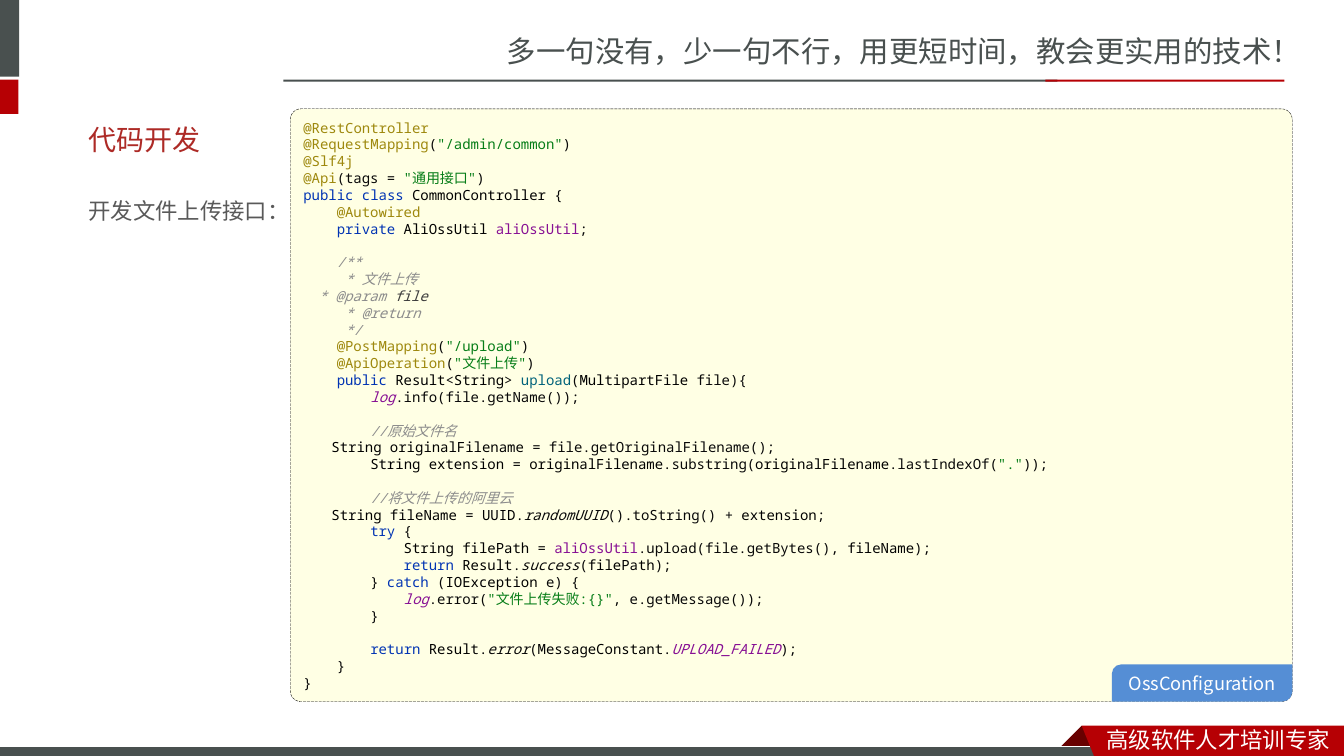
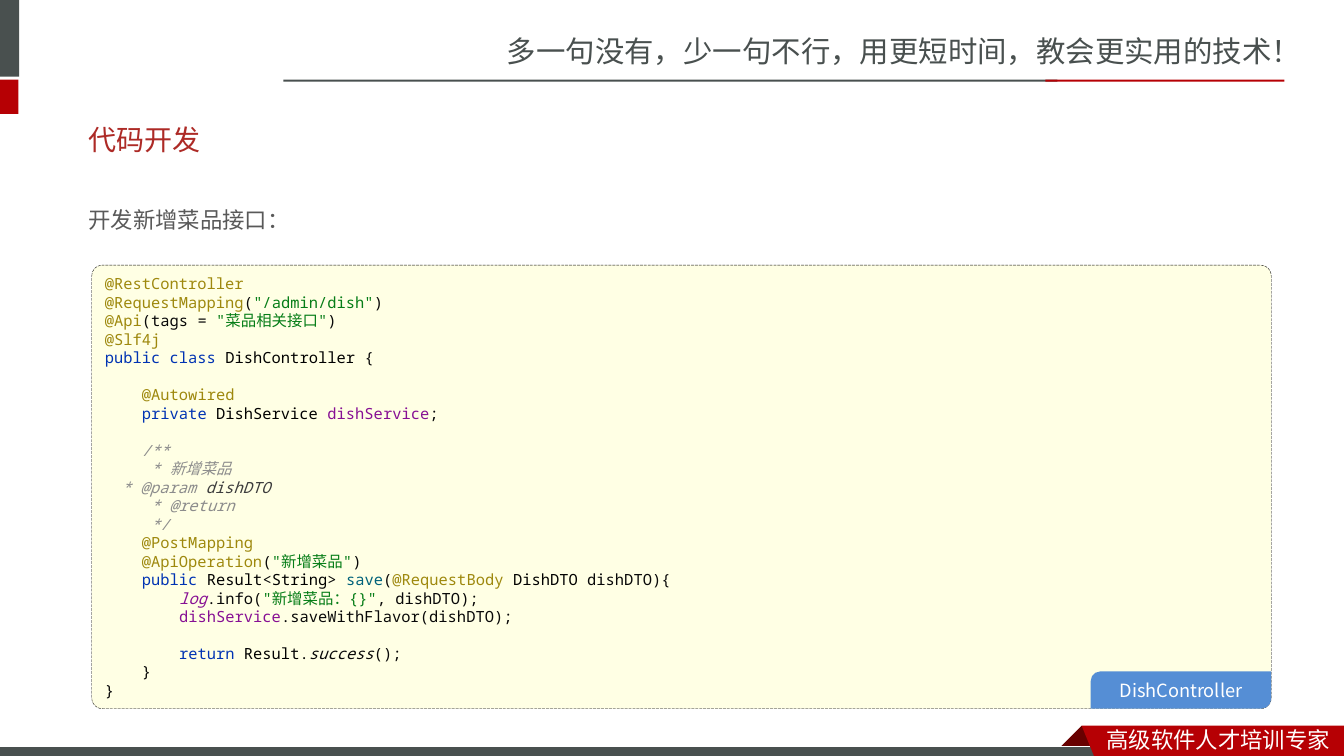
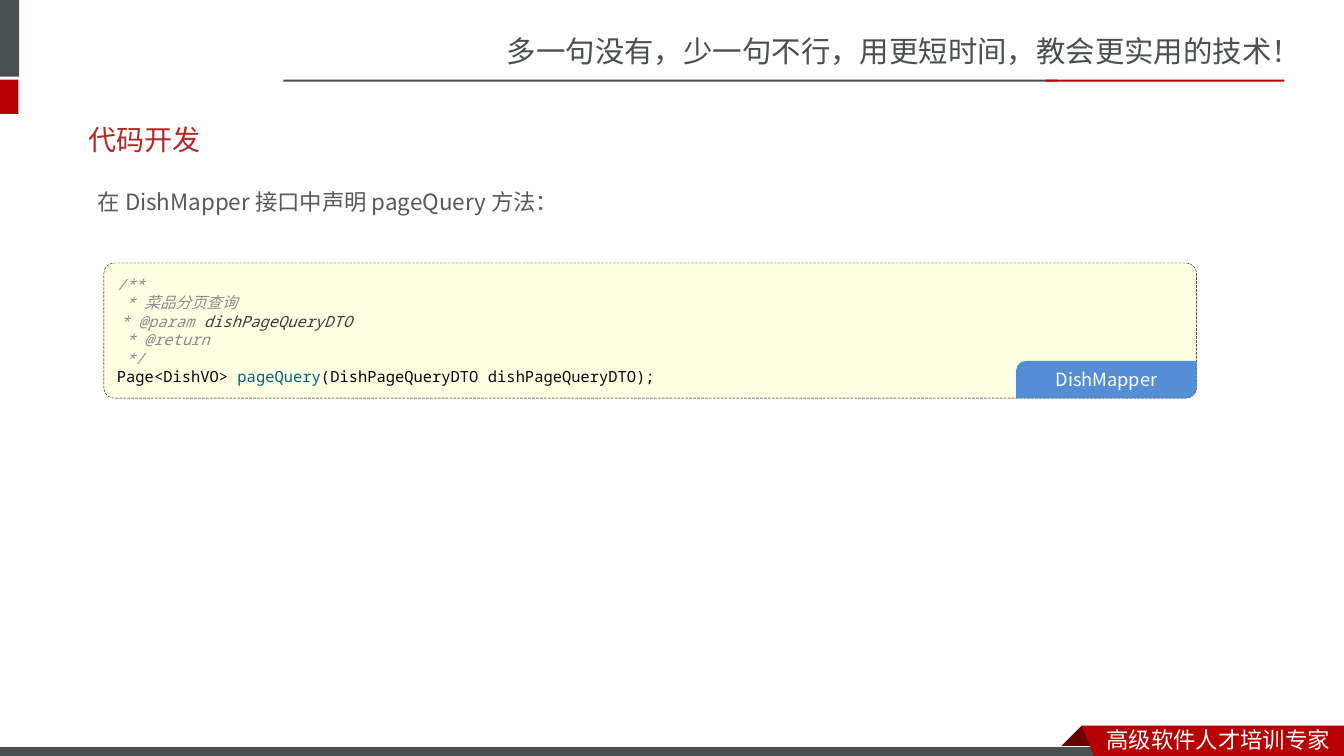
from copy import deepcopy

from lxml import etree
from pptx import Presentation
from pptx.dml.color import RGBColor
from pptx.enum.dml import MSO_LINE
from pptx.enum.shapes import MSO_SHAPE
from pptx.enum.text import MSO_ANCHOR, MSO_AUTO_SIZE, PP_ALIGN
from pptx.oxml.ns import qn
from pptx.util import Inches, Pt

RECT = MSO_SHAPE.RECTANGLE
ROUNDED = MSO_SHAPE.ROUNDED_RECTANGLE
DIAGONAL = MSO_SHAPE.ROUND_2_DIAG_RECTANGLE
LONG_DASH = MSO_LINE.LONG_DASH
MIDDLE = MSO_ANCHOR.MIDDLE
NO_FIT = MSO_AUTO_SIZE.NONE
LEFT, CENTER = PP_ALIGN.LEFT, PP_ALIGN.CENTER

SLATE = RGBColor(0x49, 0x50, 0x4F)
RED = RGBColor(0xB6, 0x00, 0x04)
DARK_RED = RGBColor(0x68, 0x00, 0x00)
TITLE_RED = RGBColor(0xAD, 0x2A, 0x26)
GRAY = RGBColor(0x59, 0x59, 0x59)
CREAM = RGBColor(0xFF, 0xFF, 0xE4)
BLUE = RGBColor(0x55, 0x8E, 0xD5)
WHITE = RGBColor(0xFF, 0xFF, 0xFF)
BLACK = RGBColor(0x00, 0x00, 0x00)
INK = RGBColor(0x08, 0x08, 0x08)
OLIVE = RGBColor(0x9E, 0x88, 0x0D)
GREEN = RGBColor(0x06, 0x7D, 0x17)
NAVY = RGBColor(0x00, 0x33, 0xB3)
PURPLE = RGBColor(0x87, 0x10, 0x94)
COMMENT = RGBColor(0x8C, 0x8C, 0x8C)
PARAM = RGBColor(0x3D, 0x3D, 0x3D)
TEAL = RGBColor(0x00, 0x62, 0x7A)

SC, JP, MONO = "Noto Sans CJK SC", "Noto Sans CJK JP", "Noto Sans Mono"

# Code markup: § and a letter start a run; a capital letter selects the CJK font.
SYNTAX = {
    "a": (OLIVE, False),    # annotation
    "p": (INK, False),      # plain
    "s": (GREEN, False),    # string
    "k": (NAVY, False),     # keyword
    "t": (BLACK, False),    # type or variable
    "f": (PURPLE, False),   # field
    "m": (TEAL, False),     # method declaration
    "l": (PURPLE, True),    # static field
    "i": (INK, True),       # static call
    "c": (COMMENT, True),   # comment
    "d": (PARAM, True),     # documented parameter
}

UPLOAD_CLASS = """§a@RestController
@RequestMapping§p(§s"/admin/common"§p)
§a@Slf4j
@Api§p(tags = §s"§S通用接口§s"§p)
§kpublic class §tCommonController §p{
    §a@Autowired
    §kprivate §tAliOssUtil §faliOssUtil§p;
"""

UPLOAD_METHOD = """    §c/**
     * §C文件上传
     §c* @param §dfile
     §c* @return
     */
    §a@PostMapping§p(§s"/upload"§p)
    §a@ApiOperation§p(§s"§S文件上传§s"§p)
    §kpublic §tResult§p<§tString§p> §mupload§p(§tMultipartFile §pfile){
        §llog§p.info(file.getName());

        §c//§C原始文件名
         §tString originalFilename §p= file.getOriginalFilename();
        §tString extension §p= §toriginalFilename§p.substring(§toriginalFilename§p.lastIndexOf(§s"."§p));
"""

UPLOAD_STORE = """        §c//§C将文件上传的阿里云
         §tString fileName §p= §tUUID§p.§irandomUUID§p().toString() + §textension§p;
        §ktry §p{
            §tString filePath §p= §faliOssUtil§p.upload(file.getBytes(), §tfileName§p);
            §kreturn §tResult§p.§isuccess§p(§tfilePath§p);
        } §kcatch §p(§tIOException §pe) {
            §llog§p.error(§s"§S文件上传失败§s:{}"§p, e.getMessage());
        }

        §kreturn §tResult§p.§ierror§p(§tMessageConstant§p.§lUPLOAD_FAILED§p);
    }
}"""

DISH_CLASS = """§a@RestController
@RequestMapping§p(§s"/admin/dish"§p)
§a@Api§p(tags = §s"§S菜品相关接口§s"§p)
§a@Slf4j
§kpublic class §tDishController §p{

    §a@Autowired
    §kprivate §tDishService §fdishService§p;
"""

DISH_METHOD = """    §c/**
     * §C新增菜品
     §c* @param §ddishDTO
     §c* @return
     */
    §a@PostMapping
    @ApiOperation§p(§s"§S新增菜品§s"§p)
    §kpublic §tResult§p<§tString§p> §msave§p(§a@RequestBody §tDishDTO §pdishDTO){
        §llog§p.info(§s"§S新增菜品：§s{}"§p, dishDTO);
        §fdishService§p.saveWithFlavor(dishDTO);

        §kreturn §tResult§p.§isuccess§p();
    }
}"""

MAPPER_METHOD = """§c/**
 * §C菜品分页查询
 §c* @param §ddishPageQueryDTO
 §c* @return
 */
§tPage§p<§tDishVO§p> §mpageQuery§p(§tDishPageQueryDTO §pdishPageQueryDTO);"""


def set_font(font, size, color, face, east_asian=None, italic=None):
    font.size, font.name, font.italic = Pt(size), face, italic
    font.color.rgb = color
    ea = etree.SubElement(font._element, qn("a:ea"))
    ea.set("typeface", east_asian or face)


class Deck:
    """Slides whose lengths are percentages of the slide's width and height."""

    TAG_W, TAG_H = 13.43, 4.93
    CORNER = 1.4

    def __init__(self):
        self.prs = Presentation()
        self.prs.slide_width, self.prs.slide_height = Inches(13.33), Inches(7.5)
        self.layout = self.prs.slide_layouts[5]
        for ph in list(self.layout.placeholders):
            if ph.placeholder_format.idx:
                ph._element.getparent().remove(ph._element)
        self.s = None

    def point(self, x, y):
        return (int(self.prs.slide_width * x / 100),
                int(self.prs.slide_height * y / 100))

    def box(self, x, y, w, h):
        return self.point(x, y) + self.point(w, h)

    def paint(self, sp, fill):
        sp.shadow.inherit = False
        sp.fill.solid()
        sp.fill.fore_color.rgb = fill
        sp.line.fill.background()
        return sp

    def shape(self, kind, area, fill):
        return self.paint(self.s.shapes.add_shape(kind, *self.box(*area)), fill)

    def polygon(self, points, fill):
        first, *rest = [self.point(*xy) for xy in points]
        builder = self.s.shapes.build_freeform(*first)
        builder.add_line_segments(rest, close=True)
        self.paint(builder.convert_to_shape(), fill)

    def text(self, area, words, size, color, face, spacing=None):
        tf = self.s.shapes.add_textbox(*self.box(*area)).text_frame
        tf.word_wrap = True
        p = tf.paragraphs[0]
        p.text = words
        p.line_spacing = spacing
        set_font(p.font, size, color, face)

    def frame(self):
        """Draw the bands, slogan and footer, then move them to the layout."""
        self.text((36.98, 3.73, 63.02, 6.27),
                  "多一句没有，少一句不行，用更短时间，教会更实用的技术！", 21, SLATE, SC)
        self.shape(RECT, (0, 0, 1.42, 10.13), SLATE)
        self.shape(RECT, (0, 10.53, 1.38, 4.53), RED)
        self.shape(RECT, (21.08, 10.53, 57.6, 0.27), SLATE)
        self.shape(RECT, (77.78, 10.53, 17.78, 0.27), RED)
        self.polygon([(80.48, 96), (82.13, 98.93), (82.05, 99.07),
                      (78.9, 99.07), (78.83, 98.93)], DARK_RED)
        bar = self.shape(RECT, (-0.07, 98.8, 82.5, 1.6), SLATE)
        bar.line.color.rgb, bar.line.width = WHITE, Pt(0.75)
        self.polygon([(80.48, 96), (100, 96), (100, 100), (81.4, 100)], RED)
        self.text((81.6, 95.33, 18.4, 4.93), "高级软件人才培训专家", 16, WHITE, SC)
        for number, sp in enumerate(list(self.s.shapes), 20):
            if not sp.is_placeholder:
                sp._element.nvSpPr.cNvPr.set("id", str(number))
                self.layout.shapes._spTree.append(sp._element)

    def slide(self, title):
        first = self.s is None
        self.s = self.prs.slides.add_slide(self.layout)
        if first:
            self.frame()
        sp = self.s.shapes.title
        sp.left, sp.top, sp.width, sp.height = self.box(5.85, 14.67, 87.75, 7.6)
        tf = sp.text_frame
        tf.text, tf.vertical_anchor, tf.auto_size = title, MIDDLE, NO_FIT
        p = tf.paragraphs[0]
        p.alignment = LEFT
        set_font(p.font, 20, TITLE_RED, "Calibri", SC)

    def lead(self, x, y, w, words):
        self.text((x, y, w, 6.13), words, 16, GRAY, JP, 1.5)

    def code(self, area, parts, size, tag):
        x, y, w, h = area
        sp = self.shape(ROUNDED, area, CREAM)
        sp.adjustments[0] = self.CORNER / h
        sp.line.color.rgb, sp.line.width = BLACK, Pt(0.25)
        sp.line.dash_style = LONG_DASH
        tf = sp.text_frame
        tf.word_wrap, tf.vertical_anchor = True, MIDDLE
        p = tf.paragraphs[0]
        p.alignment = LEFT
        for run in "\n".join(parts).split("§")[1:]:
            self.code_run(p, run[0], run[1:], size)
        self.tag(x + w - self.TAG_W, y + h - self.TAG_H, tag)

    def code_run(self, p, key, words, size):
        color, italic = SYNTAX[key.lower()]
        face = SC if key.isupper() else MONO
        for i, line in enumerate(words.split("\n")):
            if i:
                p.add_line_break()
                p._p[-1].append(deepcopy(r._r.rPr))
            if line or not i:
                r = p.add_run()
                r.text = line
                set_font(r.font, size, color, face, SC, italic)

    def tag(self, x, y, words):
        sp = self.shape(DIAGONAL, (x, y, self.TAG_W, self.TAG_H), BLUE)
        sp.adjustments[0], sp.adjustments[1] = 0.26, 0
        tf = sp.text_frame
        tf.margin_left = tf.margin_right = tf.margin_top = tf.margin_bottom = 0
        tf.vertical_anchor = MIDDLE
        p = tf.paragraphs[0]
        p.text, p.alignment = words, CENTER
        set_font(p.font, 13, WHITE, JP)


def main():
    deck = Deck()

    deck.slide("代码开发")
    deck.lead(5.85, 23.6, 75.83, "开发文件上传接口：")
    deck.code((21.6, 14.4, 74.55, 78.4),
              [UPLOAD_CLASS, UPLOAD_METHOD, UPLOAD_STORE], 10, "OssConfiguration")

    deck.slide("代码开发")
    deck.lead(5.85, 24.8, 85.43, "开发新增菜品接口：")
    deck.code((6.83, 35.07, 87.75, 58.67),
              [DISH_CLASS, DISH_METHOD], 11, "DishController")

    deck.slide("代码开发")
    deck.lead(6.53, 22.4, 82.5, "在 DishMapper 接口中声明 pageQuery 方法：")
    deck.code((7.73, 34.8, 81.3, 17.87), [MAPPER_METHOD], 11, "DishMapper")

    deck.prs.save("out.pptx")


if __name__ == "__main__":
    main()
